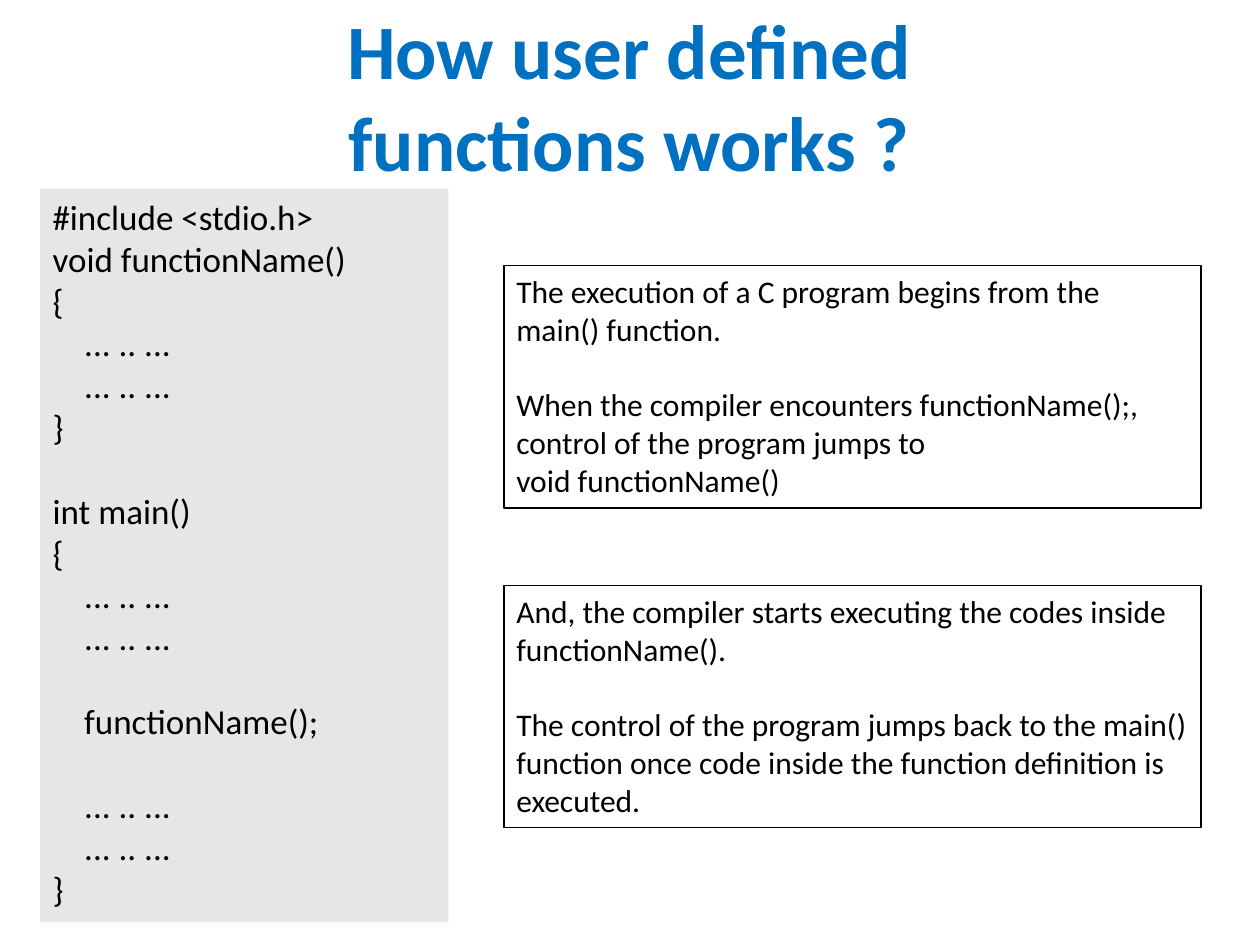
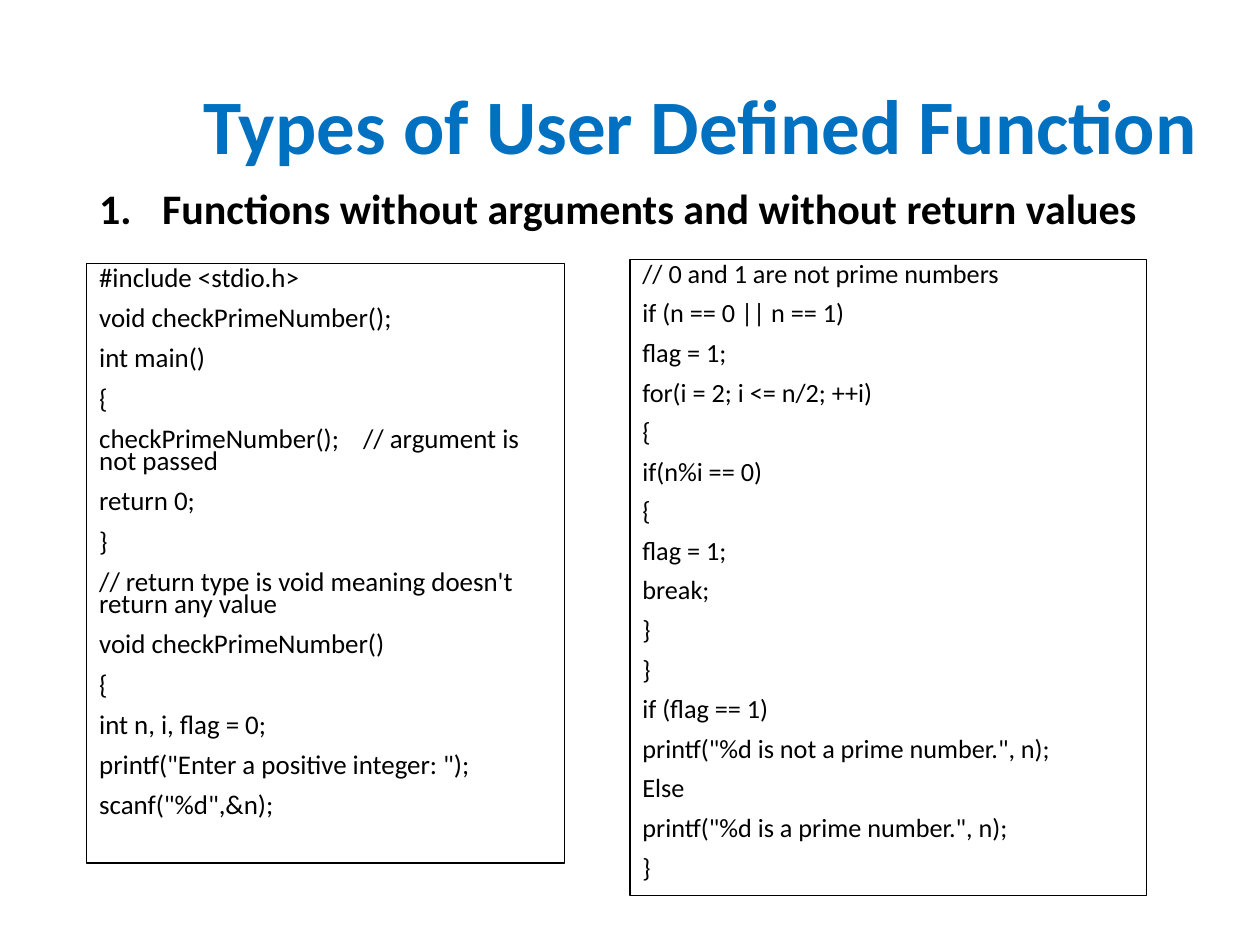
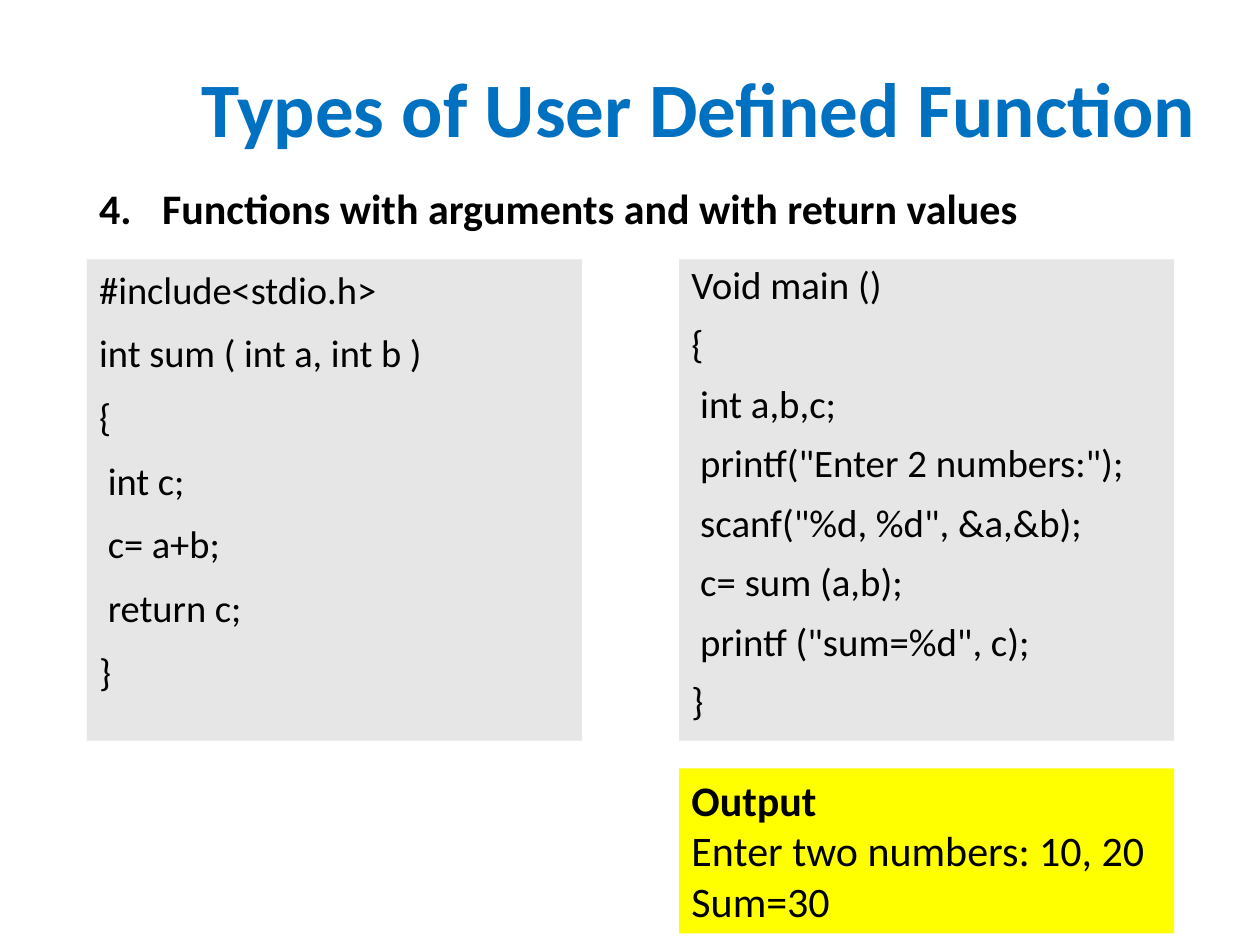
from dataclasses import dataclass

from pptx import Presentation
from pptx.dml.color import RGBColor
from pptx.enum.shapes import MSO_SHAPE
from pptx.enum.text import MSO_ANCHOR, MSO_AUTO_SIZE, PP_ALIGN
from pptx.oxml.xmlchemy import OxmlElement
from pptx.util import Cm, Pt


@dataclass(frozen=True)
class Theme:
    font: str = "Calibri"
    blue: str = "0070C0"
    black: str = "000000"
    white: str = "FFFFFF"
    grey: str = "E7E6E6"
    yellow: str = "FFFF00"
    title: float = 44
    heading: float = 24
    code: float = 20
    note: float = 18
    line: float = 0.75
    para_gap: float = 10
    line_height: float = 1.2   # of the type size
    space_width: float = 0.226  # of the type size


def write(tf, text, *, theme, size, color=None, bold=False, first_bold=False,
          align=PP_ALIGN.LEFT, before=0, spacing=None, tab=None, number=None):
    """One paragraph per line; leading spaces become indents, empty lines become gaps."""
    tf.word_wrap = True
    tf.auto_size = MSO_AUTO_SIZE.NONE
    gap, first = 0, True
    for line in text.split("\n"):
        if not line:
            gap += size * theme.line_height
            continue
        p = tf.paragraphs[0] if first else tf.add_paragraph()
        p.alignment = align
        p.space_before = Pt(before + gap)
        if spacing:
            p.line_spacing = spacing
        pPr = p._p.get_or_add_pPr()
        words = line.lstrip(" ")
        indent = (len(line) - len(words)) * theme.space_width * size
        if indent:
            pPr.set("marL", str(int(Pt(indent))))
        if number:
            pPr.set("marL", str(Cm(1.27)))
            pPr.set("indent", str(-Cm(1.27)))
            bullet = OxmlElement("a:buAutoNum")
            bullet.set("type", "arabicPeriod")
            bullet.set("startAt", str(number))
            pPr.append(bullet)
        if tab and "\t" in words:
            tabs, stop = OxmlElement("a:tabLst"), OxmlElement("a:tab")
            stop.set("pos", str(tab))
            stop.set("algn", "l")
            tabs.append(stop)
            pPr.append(tabs)
        r = p.add_run()
        r.text = words
        r.font.name = theme.font
        r.font.size = Pt(size)
        r.font.bold = bold or (first_bold and first)
        r.font.color.rgb = RGBColor.from_string(color or theme.black)
        gap, first = 0, False


class Deck:
    def __init__(self, theme):
        self.theme = theme
        self.prs = Presentation()
        self.prs.slide_width, self.prs.slide_height = Cm(25.4), Cm(19.05)
        self.s = None

    def slide(self, title, x, y, w=21.89, h=2.59, inset=0.25, spacing=0.9):
        self.s = self.prs.slides.add_slide(self.prs.slide_layouts[5])
        sp = self.s.shapes.title
        sp.left, sp.top, sp.width, sp.height = Cm(x), Cm(y), Cm(w), Cm(h)
        tf = sp.text_frame
        tf.vertical_anchor = MSO_ANCHOR.MIDDLE
        tf.margin_left = tf.margin_right = Cm(inset)
        tf.margin_top = tf.margin_bottom = Cm(inset / 2)
        write(tf, title, theme=self.theme, size=self.theme.title, bold=True,
              color=self.theme.blue, align=PP_ALIGN.CENTER, spacing=spacing)

    def heading(self, text, number):
        sp = self.s.shapes.add_textbox(Cm(1.75), Cm(3.56), Cm(21.89), Cm(1.68))
        write(sp.text_frame, text, theme=self.theme, size=self.theme.heading, bold=True,
              align=PP_ALIGN.JUSTIFY, before=self.theme.para_gap, number=number)

    def box(self, text, x, y, w, h, *, fill=None, outline=False, **style):
        sp = self.s.shapes.add_shape(MSO_SHAPE.RECTANGLE, Cm(x), Cm(y), Cm(w), Cm(h))
        sp.shadow.inherit = False
        if fill:
            sp.fill.solid()
            sp.fill.fore_color.rgb = RGBColor.from_string(fill)
        else:
            sp.fill.background()
        if outline:
            sp.line.color.rgb = RGBColor.from_string(self.theme.black)
            sp.line.width = Pt(self.theme.line)
        else:
            sp.line.fill.background()
        sp.text_frame.vertical_anchor = MSO_ANCHOR.TOP
        write(sp.text_frame, text, theme=self.theme, **style)


# Text
FLOW_CODE = """#include <stdio.h>
void functionName()
{
    ... .. ...
    ... .. ...
}

int main()
{
    ... .. ...
    ... .. ...

    functionName();

    ... .. ...
    ... .. ...
}"""

FLOW_START = """The execution of a C program begins from the main() function.

When the compiler encounters functionName();,
control of the program jumps to
void functionName()"""

FLOW_RETURN = """And, the compiler starts executing the codes inside functionName().

The control of the program jumps back to the main() function once code inside \
the function definition is executed."""

PRIME_MAIN = """#include <stdio.h>
void checkPrimeNumber();
int main()
{
checkPrimeNumber();\t// argument is not passed
return 0;
}
// return type is void meaning doesn't return any value
void checkPrimeNumber()
{
int n, i, flag = 0;
printf("Enter a positive integer: ");
scanf("%d",&n);"""

PRIME_CHECK = """// 0 and 1 are not prime numbers
if (n == 0 || n == 1)
flag = 1;
for(i = 2; i <= n/2; ++i)
{
if(n%i == 0)
{
flag = 1;
break;
}
}
if (flag == 1)
printf("%d is not a prime number.", n);
Else
printf("%d is a prime number.", n);
}"""

SUM_FUNCTION = """#include<stdio.h>
int sum ( int a, int b )
{
 int c;
 c= a+b;
 return c;
}"""

SUM_MAIN = """Void main ()
{
 int a,b,c;
 printf("Enter 2 numbers:");
 scanf("%d, %d", &a,&b);
 c= sum (a,b);
 printf ("sum=%d", c);
}"""

SUM_OUTPUT = """Output
Enter two numbers: 10, 20
Sum=30"""

TYPES_TITLE = "Types of User Defined Function"


def main():
    theme = Theme()
    deck = Deck(theme)

    # How a call runs
    deck.slide("How user defined functions works ?", 5.66, 0, 14.05, 3.81,
               inset=0, spacing=None)
    deck.box(FLOW_CODE, 0.81, 3.81, 8.23, 14.78, fill=theme.grey, size=theme.code,
             align=PP_ALIGN.JUSTIFY)
    for text, y, fill in ((FLOW_START, 5.36, theme.white), (FLOW_RETURN, 11.81, None)):
        deck.box(text, 10.16, y, 14.05, 4.88, fill=fill, outline=True, size=theme.note)

    # Type 1: prime number check
    deck.slide(TYPES_TITLE, 3.18, 1.32)
    deck.heading("Functions without arguments and without return values", 1)
    listing = dict(outline=True, before=theme.para_gap, spacing=0.7)
    deck.box(PRIME_MAIN, 1.75, 5.31, 9.63, 12.09, size=15.4, tab=Cm(5.32), **listing)
    deck.box(PRIME_CHECK, 12.7, 5.23, 10.41, 12.83, size=15, **listing)

    # Type 4: sum of two numbers
    deck.slide(TYPES_TITLE, 3.15, 0.97)
    deck.heading("Functions with arguments and with return values", 4)
    for text, x, size, spacing in ((SUM_FUNCTION, 1.75, 22, None),
                                   (SUM_MAIN, 13.69, 22.2, 0.9)):
        deck.box(text, x, 5.23, 9.98, 9.7, fill=theme.grey, size=size, spacing=spacing,
                 before=theme.para_gap, align=PP_ALIGN.JUSTIFY)
    deck.box(SUM_OUTPUT, 13.69, 15.49, 9.98, 3.33, fill=theme.yellow,
             size=theme.heading, first_bold=True)

    deck.prs.save("out.pptx")


if __name__ == "__main__":
    main()
